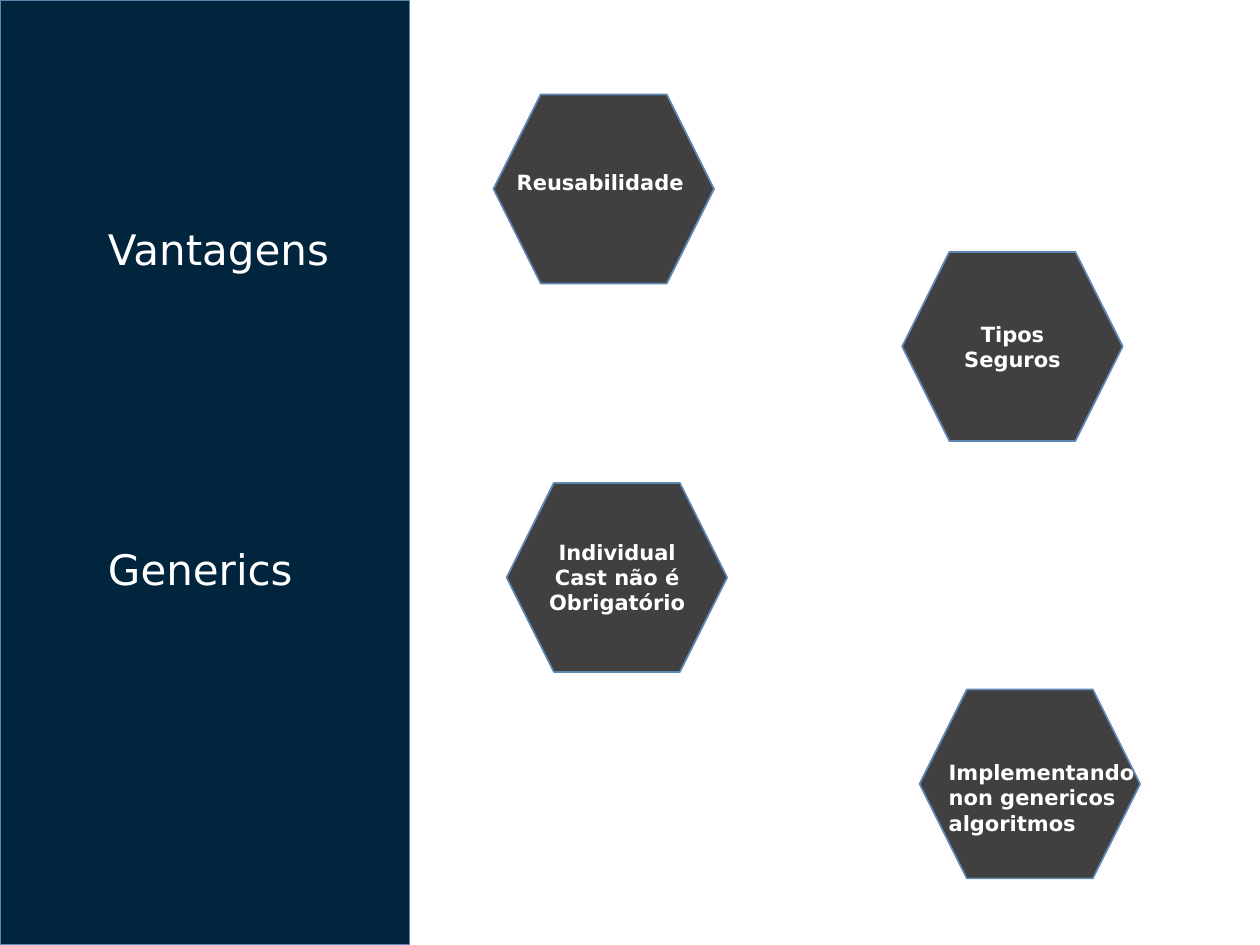
from pptx import Presentation
from pptx.dml.color import RGBColor
from pptx.enum.shapes import MSO_SHAPE
from pptx.enum.text import MSO_ANCHOR, PP_ALIGN
from pptx.util import Pt

RECTANGLE, HEXAGON = MSO_SHAPE.RECTANGLE, MSO_SHAPE.HEXAGON
MIDDLE, TOP, BOTTOM = MSO_ANCHOR.MIDDLE, MSO_ANCHOR.TOP, MSO_ANCHOR.BOTTOM
LEFT, CENTER = PP_ALIGN.LEFT, PP_ALIGN.CENTER

NAVY = RGBColor(0x00, 0x25, 0x3C)
CHARCOAL = RGBColor(0x40, 0x40, 0x40)
STEEL = RGBColor(0x5C, 0x87, 0xB1)
WHITE = RGBColor(0xFF, 0xFF, 0xFF)

HEADING = {"name": "DejaVu Sans", "size": Pt(24), "bold": False}
LABEL = {"name": "DejaVu Sans", "size": Pt(12), "bold": True}
HEADING_FRAME = {"word_wrap": True, "vertical_anchor": MIDDLE, "margin_left": Pt(43),
                 "margin_top": Pt(1), "margin_right": 0, "margin_bottom": 0}
TITLE_ONLY = 5

# Hexagon corner, label box, label lines, alignment, anchor
ADVANTAGES = [
    ((282, 54), (288, 93.6, 110, 21.6), ["Reusabilidade"], CENTER, TOP),
    ((515.5, 144), (543.6, 180, 70, 36), ["Tipos", "Seguros"], CENTER, TOP),
    ((289.5, 276), (306.7, 304.6, 92, 51),
     ["Individual", "Cast não é", "Obrigatório"], CENTER, TOP),
    ((525.5, 394), (535, 415.4, 123, 65.5),
     ["Implementando", "non genericos", "algoritmos"], LEFT, BOTTOM),
]
HEXAGON_SIZE = (126, 108)


def in_points(box):
    return [Pt(length) for length in box]


def apply(target, values):
    for name, value in values.items():
        setattr(target, name, value)


def write_lines(frame, lines, font, alignment, frame_format):
    apply(frame, frame_format)
    frame.text = "\n".join(lines)
    for paragraph in frame.paragraphs:
        paragraph.alignment = alignment
        apply(paragraph.font, font)
        paragraph.font.color.rgb = WHITE


def add_outlined(slide, kind, box, fill):
    shape = slide.shapes.add_shape(kind, *in_points(box))
    shape.shadow.inherit = False
    shape.fill.solid()
    shape.fill.fore_color.rgb = fill
    shape.line.color.rgb = STEEL
    shape.line.width = Pt(1)
    return shape


def add_side_panel(slide, box):
    """Navy panel holding the title and the subject below it."""
    left, top, _, _ = box
    panel = add_outlined(slide, RECTANGLE, box, NAVY)
    title = slide.shapes.title
    panel._element.addnext(title._element)
    heading_box = in_points((left + 18.7, top + 126.7, 201, 30))
    apply(title, dict(zip(("left", "top", "width", "height"), heading_box)))
    write_lines(title.text_frame, ["Vantagens"], HEADING, LEFT, HEADING_FRAME)
    subject = slide.shapes.add_textbox(*in_points((left + 18.7, top + 309.6, 201, 30)))
    write_lines(subject.text_frame, ["Generics"], HEADING, LEFT, HEADING_FRAME)


def add_advantage(slide, corner, label_box, lines, alignment, anchor):
    add_outlined(slide, HEXAGON, (*corner, *HEXAGON_SIZE), CHARCOAL)
    label = slide.shapes.add_textbox(*in_points(label_box))
    write_lines(label.text_frame, lines, LABEL, alignment,
                {"word_wrap": False, "vertical_anchor": anchor})


def main():
    deck = Presentation()
    deck.slide_width, deck.slide_height = Pt(720), Pt(540)
    slide = deck.slides.add_slide(deck.slide_layouts[TITLE_ONLY])
    add_side_panel(slide, (0, 0, 234, 540))
    for advantage in ADVANTAGES:
        add_advantage(slide, *advantage)
    deck.save("out.pptx")


if __name__ == "__main__":
    main()
